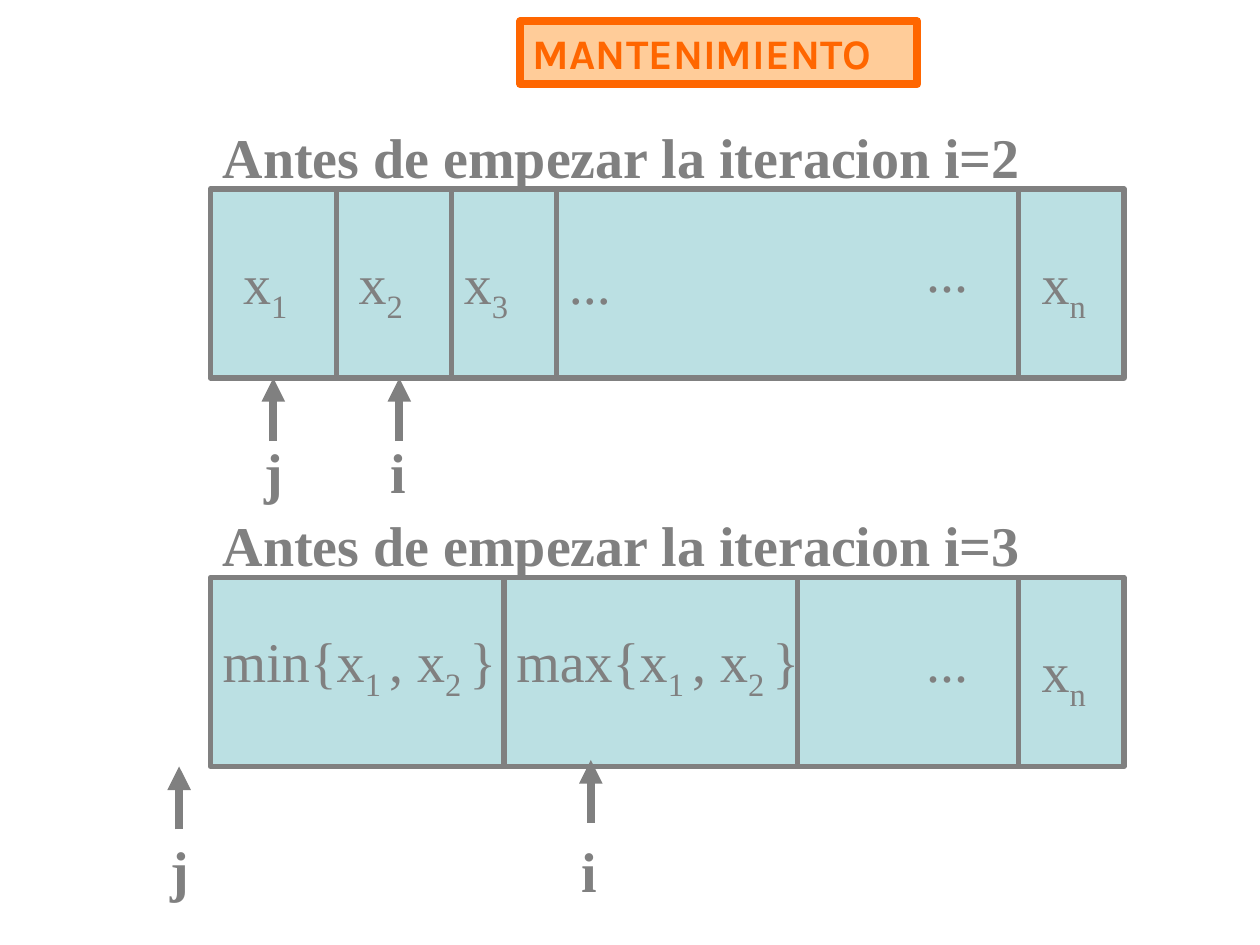
from lxml.etree import SubElement
from pptx import Presentation
from pptx.dml.color import RGBColor
from pptx.enum.shapes import MSO_CONNECTOR, MSO_SHAPE
from pptx.enum.text import MSO_ANCHOR, MSO_AUTO_SIZE, PP_ALIGN
from pptx.oxml.ns import qn
from pptx.util import Cm, Pt

TITLE = "MANTENIMIENTO"
GRAY, TEAL, ORANGE, PEACH = "808080", "BBE0E3", "FF6600", "FFCC99"
ARRAY_LEFT, ARRAY_WIDTH, ARRAY_HEIGHT = 4.24, 18.42, 3.81
ARROW_LENGTH = 1.27
CELL_FORMAT = {"size": Pt(32), "name": "Times New Roman", "bold": False}
LABEL_FORMAT = {**CELL_FORMAT, "bold": True}
TITLE_FORMAT = {"size": Pt(24), "name": "Karla", "bold": True}

# Cells: (pieces alternating normal and subscript, left, drop, width)
# Pointers: (label, centre, tip drop, label drop)
ITERATIONS = [
    {
        "heading": "Antes de empezar la iteracion i=2",
        "top": 3.81,
        "dividers": [6.78, 9.1, 11.22, 20.53],
        "cells": [
            (("x", "1"), 4.65, 1.07, 1.9),
            (("x", "2"), 6.98, 1.07, 1.9),
            (("x", "3"), 9.1, 1.07, 1.9),
            (("...",), 11.22, 1.07, 1.9),
            (("...",), 18.42, 0.84, 1.9),
            (("x", "n"), 20.75, 1.07, 1.9),
        ],
        "pointers": [("i", 8.05, 3.81, 4.88), ("j", 5.51, 3.81, 4.88)],
    },
    {
        "heading": "Antes de empezar la iteracion i=3",
        "top": 11.64,
        "dividers": [10.16, 16.08, 20.53],
        "cells": [
            (("min{x", "1 ", ", x", "2 ", "}"), 4.24, 0.86, 6.15),
            (("max{x", "1 ", ", x", "2 ", "}"), 10.16, 0.86, 7.19),
            (("...",), 18.42, 0.86, 1.9),
            (("x", "n"), 20.75, 1.07, 1.9),
        ],
        "pointers": [("i", 11.91, 3.68, 5.1), ("j", 3.61, 3.81, 5.08)],
    },
]


def color(hex_code):
    """Turn a hex string into a colour."""
    return RGBColor.from_string(hex_code)


def paint(box, fill, line, width):
    """Fill and outline a box."""
    box.fill.solid()
    box.fill.fore_color.rgb = color(fill)
    box.line.color.rgb = color(line)
    box.line.width = Pt(width)


def write(frame, pieces, font_format, hex_code):
    """Write pieces as runs, every second one as a subscript."""
    frame_format = {"word_wrap": True, "auto_size": MSO_AUTO_SIZE.NONE,
                    "vertical_anchor": MSO_ANCHOR.TOP}
    for key, value in frame_format.items():
        setattr(frame, key, value)
    paragraph = frame.paragraphs[0]
    paragraph.alignment = PP_ALIGN.LEFT
    for index, piece in enumerate(pieces):
        run = paragraph.add_run()
        run.text = piece
        for key, value in font_format.items():
            setattr(run.font, key, value)
        run.font.color.rgb = color(hex_code)
        if index % 2:
            run._r.get_or_add_rPr().set("baseline", "-25000")


def add_label(slide, pieces, left, top, width, font_format):
    """Add a gray text box, taller when it holds subscripts."""
    height = 1.8 if len(pieces) > 1 else 1.63
    label = slide.shapes.add_textbox(Cm(left), Cm(top), Cm(width), Cm(height))
    write(label.text_frame, pieces, font_format, GRAY)


def add_vertical(slide, x, start, end, width, arrow=False):
    """Add a vertical gray line, with an arrowhead at its end if asked."""
    vertical = slide.shapes.add_connector(
        MSO_CONNECTOR.STRAIGHT, Cm(x), Cm(start), Cm(x), Cm(end))
    vertical.line.color.rgb = color(GRAY)
    vertical.line.width = Pt(width)
    if arrow:
        SubElement(vertical.line._get_or_add_ln(), qn("a:tailEnd"), type="triangle")
    SubElement(vertical._element.spPr, qn("a:effectLst"))


def add_iteration(slide, iteration):
    """Draw one array with its heading, cells and pointers."""
    top = iteration["top"]
    array = slide.shapes.add_shape(
        MSO_SHAPE.RECTANGLE, Cm(ARRAY_LEFT), Cm(top), Cm(ARRAY_WIDTH), Cm(ARRAY_HEIGHT))
    array.shadow.inherit = False
    paint(array, TEAL, GRAY, 3)
    for x in iteration["dividers"]:
        add_vertical(slide, x, top, top + ARRAY_HEIGHT, 3)
    for pieces, left, drop, width in iteration["cells"]:
        add_label(slide, pieces, left, top + drop, width, CELL_FORMAT)
    for name, x, tip, drop in iteration["pointers"]:
        add_vertical(slide, x, top + tip + ARROW_LENGTH, top + tip, 4.5, arrow=True)
        add_label(slide, (name,), x - 0.43, top + drop, 1.07, LABEL_FORMAT)
    add_label(slide, (iteration["heading"],), ARRAY_LEFT, top - 1.47,
              ARRAY_WIDTH, LABEL_FORMAT)


def main():
    """Build and save the slide."""
    deck = Presentation()
    deck.slide_width, deck.slide_height = Cm(25.4), Cm(19.05)
    slide = deck.slides.add_slide(deck.slide_layouts[5])
    title = slide.shapes.title
    place = {"left": 10.49, "top": 0.43, "width": 8, "height": 1.27}
    for key, value in place.items():
        setattr(title, key, Cm(value))
    paint(title, PEACH, ORANGE, 4.5)
    write(title.text_frame, (TITLE,), TITLE_FORMAT, ORANGE)
    for iteration in ITERATIONS:
        add_iteration(slide, iteration)
    deck.save("out.pptx")


if __name__ == "__main__":
    main()
